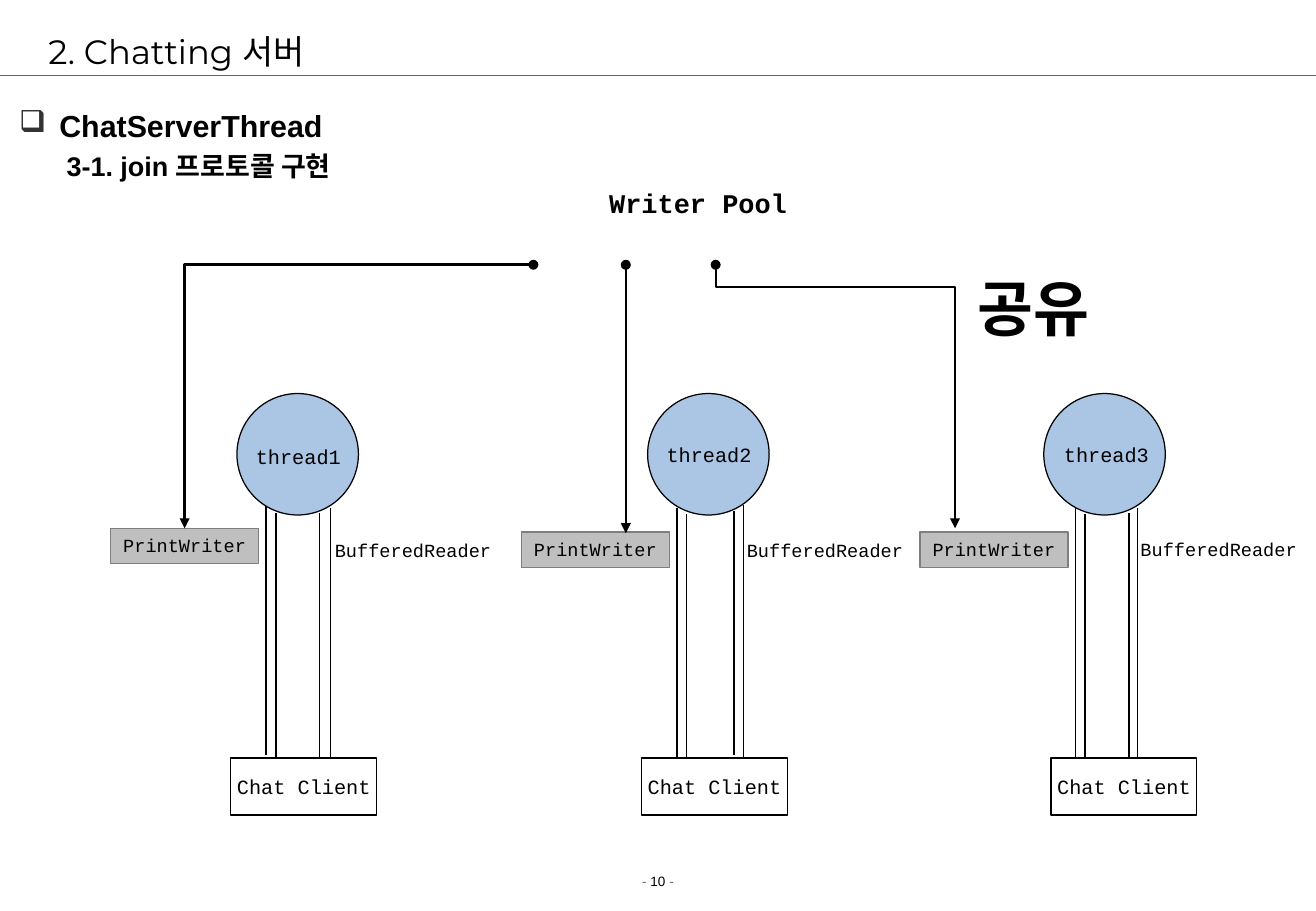
from lxml.etree import SubElement
from pptx import Presentation
from pptx.dml.color import RGBColor
from pptx.enum.shapes import MSO_CONNECTOR, MSO_SHAPE
from pptx.enum.text import MSO_ANCHOR, PP_ALIGN
from pptx.oxml.ns import qn
from pptx.util import Pt

PX = 9144
MONO = "Courier New"
hex_color = RGBColor.from_string

deck = Presentation()
deck.slide_width, deck.slide_height = 1083 * PX, 750 * PX
slide = deck.slides.add_slide(deck.slide_layouts[6])
shapes = slide.shapes


def add_label(left, top, width, height, text, size, font=MONO, bold=False,
              align=PP_ALIGN.CENTER, preset=None, fill=None, line="000000"):
    box = [value * PX for value in (left, top, width, height)]
    if preset is None:
        label = shapes.add_textbox(*box)
    else:
        label = shapes.add_shape(preset, *box)
        label.shadow.inherit = False
        label.line.color.rgb = hex_color(line)
        label.line.width = Pt(0.75)
        if fill:
            label.fill.solid()
            label.fill.fore_color.rgb = hex_color(fill)
        else:
            label.fill.background()
    frame = label.text_frame
    frame.word_wrap = False
    frame.vertical_anchor = MSO_ANCHOR.TOP
    if text:
        paragraph = frame.paragraphs[0]
        paragraph.text = text
        paragraph.alignment = align
        paragraph.font.size = Pt(size)
        paragraph.font.name = font
        paragraph.font.bold = bold
        paragraph.font.color.rgb = hex_color("000000")
    return label


def add_line(x1, y1, x2, y2, weight, color="000000", kind=MSO_CONNECTOR.STRAIGHT, arrow=False):
    line = shapes.add_connector(kind, x1 * PX, y1 * PX, x2 * PX, y2 * PX)
    line.line.width = Pt(weight)
    line.line.color.rgb = hex_color(color)
    if arrow:
        stroke = line.line._get_or_add_ln()
        SubElement(stroke, qn("a:headEnd"), type="oval")
        SubElement(stroke, qn("a:tailEnd"), type="triangle")
    SubElement(line._element.spPr, qn("a:effectLst"))
    return line


page_number = add_label(0, 714, 1083, 24, "", 8)
page_line = page_number.text_frame.paragraphs[0]
page_line.alignment = PP_ALIGN.CENTER
page_line.font.size = Pt(8)
page_line.font.name = "Arial"
for piece, color in (("- ", "666666"), ("10 ", "000000"), ("-", "666666")):
    run = page_line.add_run()
    run.text = piece
    run.font.color.rgb = hex_color(color)

add_line(0, 62, 1083, 62, 0.75, "666666")
title = add_label(30, 21, 1017, 42, "2. Chatting 서버", 20, "Montserrat", align=PP_ALIGN.LEFT)
title.text_frame.vertical_anchor = MSO_ANCHOR.MIDDLE

body = shapes.add_textbox(6 * PX, 68 * PX, 1079 * PX, 90 * PX).text_frame
body.word_wrap = True
heading, subheading = body.paragraphs[0], body.add_paragraph()
heading.line_spacing = 1.5
subheading.space_before = Pt(4)
for paragraph, text, size, margin, indent in (
    (heading, "ChatServerThread", 18, 33, -33),
    (subheading, "3-1. join 프로토콜 구현", 16, 39, 0),
):
    paragraph.text = text
    properties = paragraph._p.get_or_add_pPr()
    properties.set("marL", str(margin * PX))
    properties.set("indent", str(indent * PX))
    if paragraph is heading:
        bullet_color = SubElement(properties, qn("a:buClr"))
        SubElement(bullet_color, qn("a:srgbClr"), val="333333")
        SubElement(properties, qn("a:buChar"), char="❑")
    paragraph.font.size = Pt(size)
    paragraph.font.name = "Arial"
    paragraph.font.bold = True
    paragraph.font.color.rgb = hex_color("000000")

lanes = [
    ("thread1", 195, (200, 361), 190, (265, 439), (91, 435),
     ((219, 417, 622), (227, 422, 623), (263, 422, 623), (272, 418, 623))),
    ("thread2", 533, (538, 359), 528, (604, 439), (429, 438),
     ((557, 418, 623), (565, 423, 624), (604, 421, 622), (612, 416, 625))),
    ("thread3", 859, (865, 359), 865, (928, 438), (757, 438),
     ((885, 418, 623), (893, 423, 624), (929, 422, 623), (936, 418, 623))),
]
writers = []
for name, circle_x, name_at, client_x, reader_at, writer_at, streams in lanes:
    add_label(circle_x, 324, 100, 100, "", 12, preset=MSO_SHAPE.OVAL, fill="ABC5E4")
    add_label(*name_at, 91, 30, name, 12)
    client = add_label(client_x, 624, 120, 47, "Chat Client", 12, preset=MSO_SHAPE.RECTANGLE)
    frame = client.text_frame
    frame.vertical_anchor = MSO_ANCHOR.MIDDLE
    frame.margin_left = frame.margin_right = frame.margin_top = frame.margin_bottom = 0
    for x, top, bottom in streams:
        add_line(x, top, x, bottom, 1)
    add_label(*reader_at, 150, 29, "BufferedReader", 11)
    writers.append(add_label(*writer_at, 122, 29, "PrintWriter", 11,
                             preset=MSO_SHAPE.RECTANGLE, fill="BFBFBF", line="7F7F7F"))

pool_to_first = add_line(439, 218, 152, 435, 1.5, kind=MSO_CONNECTOR.ELBOW, arrow=True)
pool_to_first._element.spPr.find(qn("a:prstGeom")).set("prst", "bentConnector2")
pool_to_first.end_connect(writers[0], 0)

add_line(515, 218, 515, 439, 1.25, arrow=True)

pool_to_third = add_line(796, 228, 579, 425, 1.25, kind=MSO_CONNECTOR.ELBOW, arrow=True)
third_properties = pool_to_third._element.spPr
third_properties.find(qn("a:xfrm")).set("rot", "16200000")
bend = third_properties.find(qn("a:prstGeom")).find(qn("a:avLst"))
SubElement(bend, qn("a:gd"), name="adj1", fmla="val 8400")

add_label(490, 149, 169, 37, "Writer Pool", 16, bold=True)
add_label(791, 218, 119, 71, "공유", 36, bold=True)

deck.save("out.pptx")
